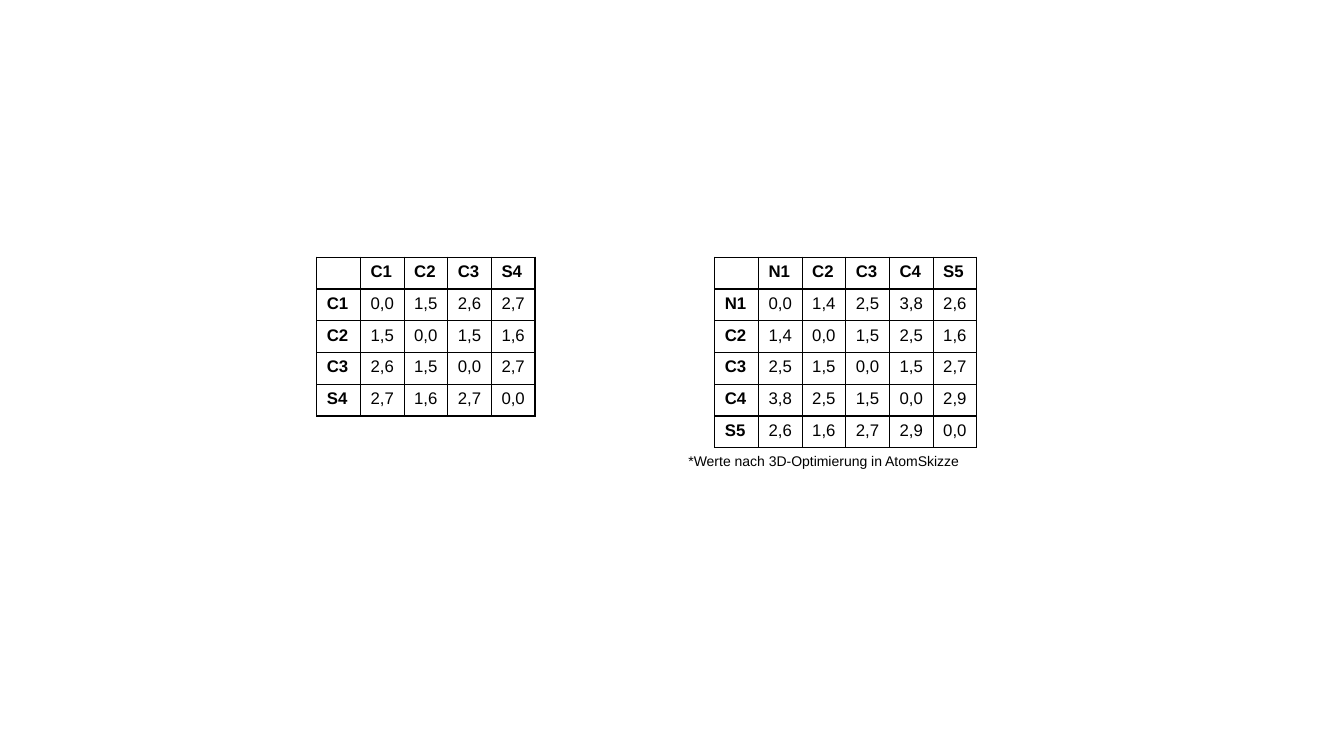
from dataclasses import dataclass

from lxml import etree
from pptx import Presentation
from pptx.dml.color import RGBColor
from pptx.enum.text import MSO_AUTO_SIZE
from pptx.oxml.ns import qn
from pptx.slide import Slide
from pptx.table import _Cell
from pptx.text.text import _Paragraph
from pptx.util import Inches, Pt

RESIZE_SHAPE = MSO_AUTO_SIZE.SHAPE_TO_FIT_TEXT

COLORS = {"ink": "000000"}
FONT = "Arial"
CELL_SIZE = 12
NOTE_SIZE = 10
BORDER_WIDTH = Pt(1)

# One grid cell is one table cell.
COL = Inches(2.6) // 6
ROW = Inches(1.89) // 6
TABLE_ROW = 8.1


@dataclass(frozen=True)
class DistanceMatrix:
    col: float
    atoms: str
    distances: tuple[str, ...]


MATRICES = (
    DistanceMatrix(7.25, "C1 C2 C3 S4", (
        "0,0 1,5 2,6 2,7",
        "1,5 0,0 1,5 1,6",
        "2,6 1,5 0,0 2,7",
        "2,7 1,6 2,7 0,0",
    )),
    DistanceMatrix(16.36, "N1 C2 C3 C4 S5", (
        "0,0 1,4 2,5 3,8 2,6",
        "1,4 0,0 1,5 2,5 1,6",
        "2,5 1,5 0,0 1,5 2,7",
        "3,8 2,5 1,5 0,0 2,9",
        "2,6 1,6 2,7 2,9 0,0",
    )),
)


def cols(count: float) -> int:
    return round(COL * count)


def rows(count: float) -> int:
    return round(ROW * count)


def write(p: _Paragraph, text: str, size: int, bold: bool = False) -> None:
    p.text = text
    for r in p.runs:
        r.font.name = FONT
        r.font.size = Pt(size)
        r.font.bold = bold
        r.font.color.rgb = RGBColor.from_string(COLORS["ink"])
    if not text:
        # An empty cell needs its own text size, or its row grows.
        etree.SubElement(p._p, qn("a:endParaRPr"), sz=str(size * 100))


def add_borders(cell: _Cell) -> None:
    tc_pr = cell._tc.get_or_add_tcPr()
    for position, side in enumerate(("a:lnL", "a:lnR", "a:lnT", "a:lnB")):
        ln = etree.Element(qn(side), w=str(BORDER_WIDTH))
        fill = etree.SubElement(ln, qn("a:solidFill"))
        etree.SubElement(fill, qn("a:srgbClr"), val=COLORS["ink"])
        tc_pr.insert(position, ln)


def add_matrix(slide: Slide, matrix: DistanceMatrix) -> None:
    atoms = matrix.atoms.split()
    grid = [["", *atoms]]
    grid += [[atom, *line.split()] for atom, line in zip(atoms, matrix.distances)]
    n = len(grid)
    table = slide.shapes.add_table(
        n, n, cols(matrix.col), rows(TABLE_ROW), cols(n), rows(n)
    ).table
    table.horz_banding = False
    table.first_row = False
    for column in table.columns:
        column.width = COL
    for row, texts in enumerate(grid):
        table.rows[row].height = ROW
        for col, text in enumerate(texts):
            cell = table.cell(row, col)
            cell.fill.background()
            add_borders(cell)
            is_header = row == 0 or col == 0
            write(cell.text_frame.paragraphs[0], text, CELL_SIZE, is_header)


def add_note(slide: Slide, text: str) -> None:
    sp = slide.shapes.add_textbox(
        cols(15.53), rows(TABLE_ROW + 6), cols(6.83), rows(0.86)
    )
    tf = sp.text_frame
    tf.word_wrap = False
    tf.auto_size = RESIZE_SHAPE
    write(tf.paragraphs[0], text, NOTE_SIZE)


def main() -> None:
    prs = Presentation()
    prs.slide_width = Inches(13.33)
    prs.slide_height = Inches(7.5)
    slide = prs.slides.add_slide(prs.slide_layouts[6])
    for matrix in MATRICES:
        add_matrix(slide, matrix)
    add_note(slide, "*Werte nach 3D-Optimierung in AtomSkizze")
    prs.save("out.pptx")


if __name__ == "__main__":
    main()
